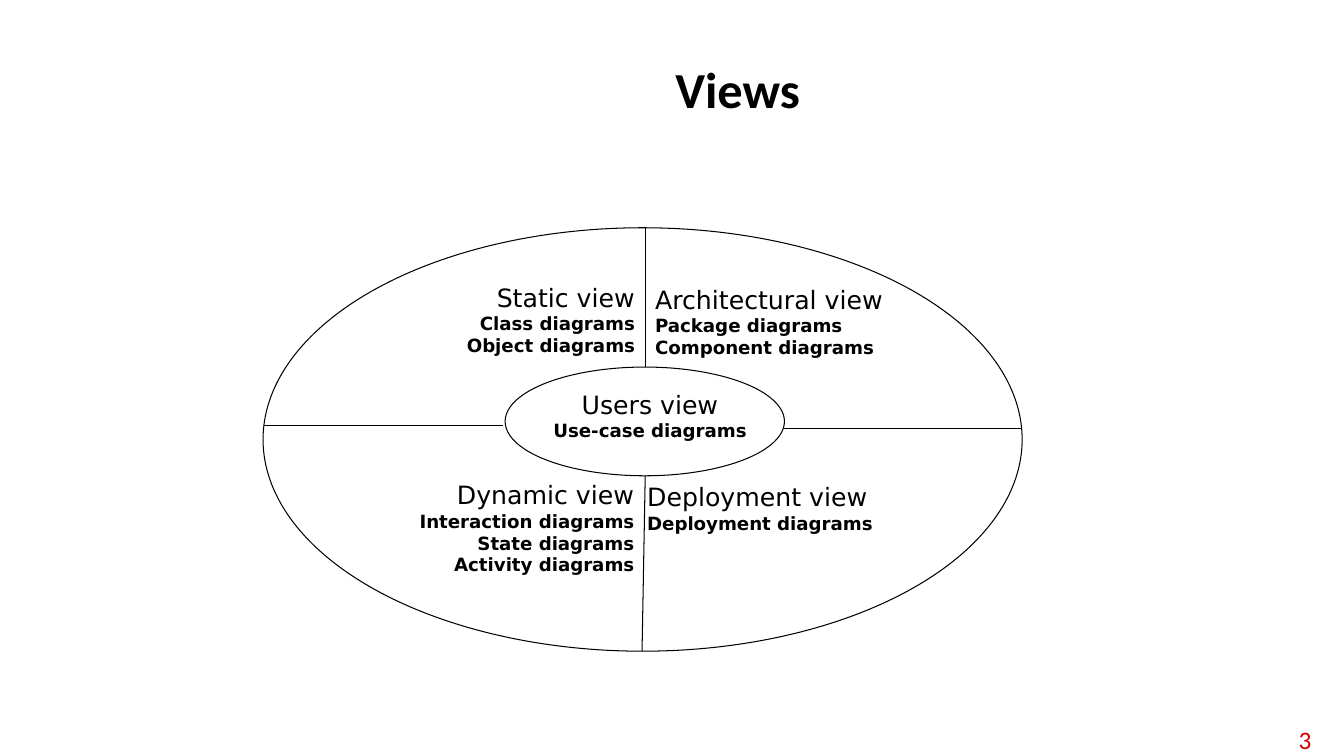
import pptx
import pptx.dml.color
import pptx.enum.shapes
import pptx.enum.text
import pptx.util
from pptx.util import Cm

ALIGN = pptx.enum.text.PP_ALIGN
ANCHOR = pptx.enum.text.MSO_ANCHOR
BLACK = "000000"
RED = "CC0000"

# Views: alignment, place (left, top, width, height in cm), name, diagrams
VIEWS = [
    (ALIGN.RIGHT, (11.61, 6.99, 4.52, 2.84), "Static view",
     ["Class diagrams", "Object diagrams"]),
    (ALIGN.LEFT, (16.18, 12.01, 5.97, 2.11), "Deployment view",
     ["Deployment diagrams"]),
    (ALIGN.RIGHT, (10.34, 11.96, 5.77, 3.58), "Dynamic view",
     ["Interaction diagrams", "State diagrams", "Activity diagrams"]),
    (ALIGN.CENTER, (13.79, 9.68, 5.18, 2.11), "Users view",
     ["Use-case diagrams"]),
    (ALIGN.LEFT, (16.38, 7.04, 6.02, 2.84), "Architectural view",
     ["Package diagrams", "Component diagrams"]),
]

# Outer and inner ellipse: left, top, width, height in cm
ELLIPSES = [(6.63, 5.74, 19.13, 10.67), (12.73, 9.25, 7.04, 2.74)]

# Dividers between the ellipses: start x, y, end x, y in cm
DIVIDERS = [
    (16.26, 5.74, 16.26, 9.25),
    (16.26, 11.99, 16.18, 16.41),
    (6.65, 10.72, 12.67, 10.72),
    (19.76, 10.8, 25.76, 10.8),
]


def colour(value):
    return pptx.dml.color.RGBColor.from_string(value)


def set_line(shape):
    shape.line.color.rgb = colour(BLACK)
    shape.line.width = pptx.util.Pt(0.75)


def add_box(page, place, anchor=ANCHOR.TOP, wrap=True):
    box = page.shapes.add_textbox(*map(Cm, place))
    box.text_frame.word_wrap = wrap
    box.text_frame.vertical_anchor = anchor
    return box


def write(para, text, size, font="Calibri", color=BLACK, bold=False,
          align=ALIGN.LEFT, spacing=1.0):
    para.alignment = align
    para.line_spacing = spacing
    span = para.add_run()
    span.text = text
    span.font.name = font
    span.font.size = pptx.util.Pt(size)
    span.font.bold = bold
    span.font.color.rgb = colour(color)


def add_ellipse(page, place):
    oval = page.shapes.add_shape(pptx.enum.shapes.MSO_SHAPE.OVAL,
                                 *map(Cm, place))
    oval.shadow.inherit = False
    oval.fill.background()
    set_line(oval)


def add_divider(page, ends):
    divider = page.shapes.add_connector(
        pptx.enum.shapes.MSO_CONNECTOR.STRAIGHT, *map(Cm, ends))
    set_line(divider)
    properties = divider.element.spPr
    properties.append(pptx.oxml.xmlchemy.OxmlElement("a:effectLst"))


def add_view(page, align, place, name, diagrams):
    frame = add_box(page, place, wrap=False).text_frame
    frame.auto_size = pptx.enum.text.MSO_AUTO_SIZE.SHAPE_TO_FIT_TEXT
    frame.margin_left = frame.margin_right = Cm(0.13)
    frame.margin_top = frame.margin_bottom = Cm(0.13)
    write(frame.paragraphs[0], name, 18, font="DejaVu Sans", align=align)
    for diagram in diagrams:
        write(frame.add_paragraph(), diagram, 13, font="DejaVu Sans",
              bold=True, align=align)


def main():
    deck = pptx.Presentation()
    deck.slide_width, deck.slide_height = Cm(33.87), Cm(19.05)
    page = deck.slides.add_slide(deck.slide_layouts[6])

    # Page number and title
    number = add_box(page, (31.55, 18.19, 1.75, 0.91), ANCHOR.MIDDLE)
    write(number.text_frame.paragraphs[0], "3", 18, color=RED,
          align=ALIGN.RIGHT)
    title = add_box(page, (5.66, 1.02, 25.86, 2.59), ANCHOR.MIDDLE)
    write(title.text_frame.paragraphs[0], "Views", 36, bold=True,
          align=ALIGN.CENTER, spacing=0.9)

    # Diagram
    for place in ELLIPSES:
        add_ellipse(page, place)
    for ends in DIVIDERS:
        add_divider(page, ends)
    for view in VIEWS:
        add_view(page, *view)

    deck.save("out.pptx")


if __name__ == "__main__":
    main()
